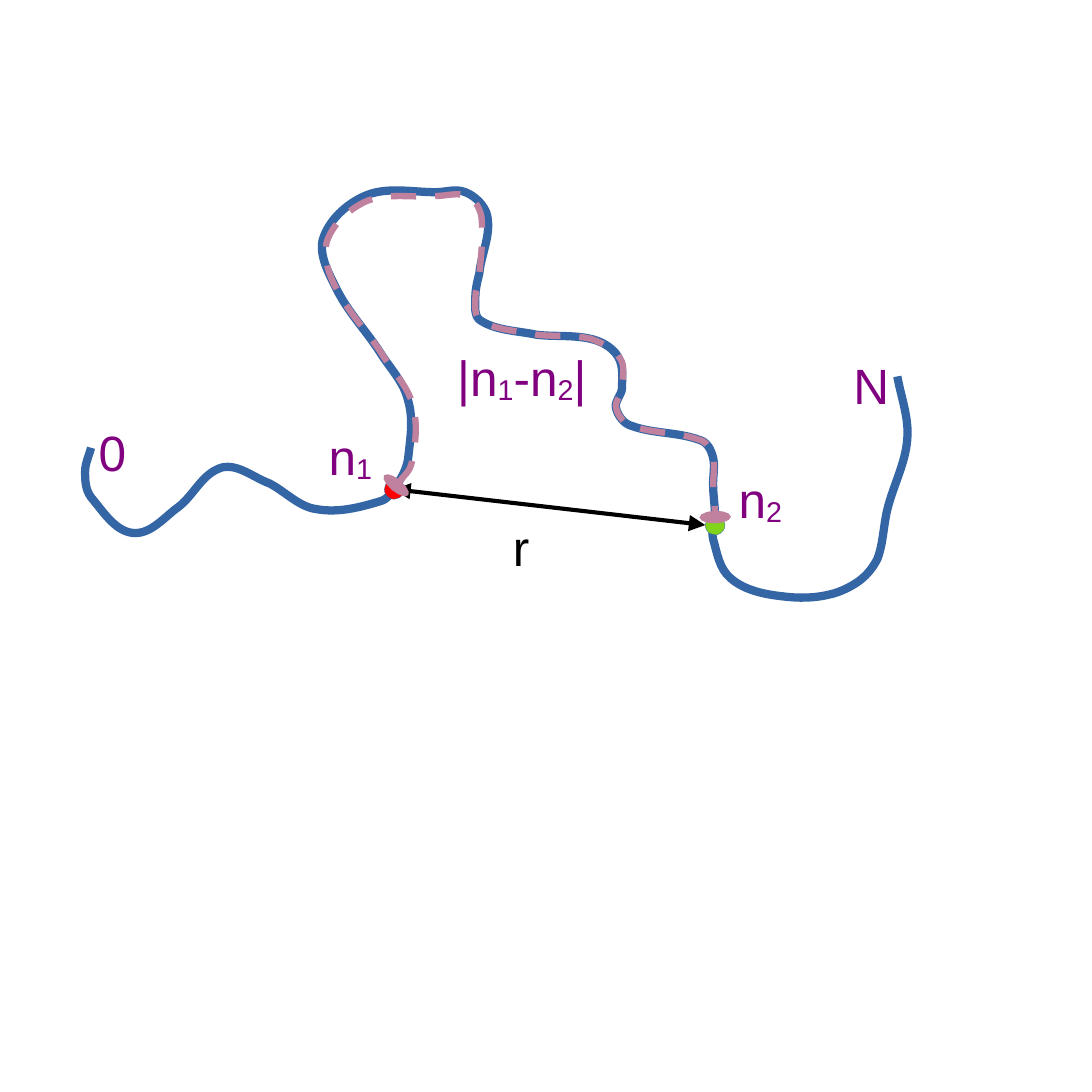
import math

import pptx
import pptx.dml.color
import pptx.enum.dml
import pptx.enum.shapes
import pptx.enum.text
import pptx.oxml
import pptx.oxml.ns
import pptx.util

COLORS = {"chain": "3465A4", "contour": "BF819E", "first": "FF0000",
          "second": "81D41A", "distance": "000000", "label": "800080"}
GRID = pptx.util.Cm(0.0254)  # every coordinate below counts this step
NAMESPACE = pptx.oxml.ns.nsdecls("a")

# The chain runs from 0 to n1, round the loop to n2, and on to N.
ZERO_TO_FIRST = [(46, 226), (43, 238), (46, 251), (67, 269), (90, 256),
                 (112, 236), (136, 244), (160, 257), (192, 253)]
LOOP = [(200, 245), (206, 232), (206, 202), (192, 178), (170, 146), (163, 121),
        (184, 99), (220, 97), (235, 97), (246, 109), (242, 138), (240, 150),
        (243, 162), (271, 169), (298, 171), (312, 180), (314, 196), (311, 206),
        (319, 215), (353, 222), (360, 231), (360, 244), (361, 261)]
SECOND_TO_N = [(360, 272), (369, 292), (395, 301), (419, 300), (434, 293),
               (443, 282), (448, 257), (458, 222), (453, 190)]
# The contour follows the loop, moved inwards at these bends.
INWARD = {(206, 232): (2, 1), (206, 202): (2, 1), (192, 178): (1, 1),
          (163, 121): (2, 1), (184, 99): (0, 3), (220, 97): (0, 2),
          (235, 97): (1, 2), (246, 109): (-3, 0), (312, 180): (1, 1)}

BEAD_SIZE = 10
FIRST_BEAD = (199, 247)
SECOND_BEAD = (361, 265)


def color(name):
    return pptx.dml.color.RGBColor.from_string(COLORS[name])


def shift(point, move):
    return point[0] + move[0], point[1] + move[1]


def style_line(line, name, width):
    line.color.rgb = color(name)
    line.width = pptx.util.Pt(width)


def add_line_ends(line, kind, width="med", length="med"):
    for tag in ("headEnd", "tailEnd"):
        line._get_or_add_ln().append(pptx.oxml.parse_xml(
            f'<a:{tag} {NAMESPACE} type="{kind}" w="{width}" len="{length}"/>'))


def smooth_controls(bends):
    """Give both control points and the end of each curve between two bends.

    At a bend the curve runs parallel to the line joining its neighbours;
    each handle is a third of the distance to the next bend.
    """
    directions = []
    for index in range(len(bends)):
        before = bends[max(index - 1, 0)]
        after = bends[min(index + 1, len(bends) - 1)]
        span = math.dist(before, after)
        directions.append(((after[0] - before[0]) / span, (after[1] - before[1]) / span))

    for index in range(len(bends) - 1):
        start, end = bends[index], bends[index + 1]
        handle = math.dist(start, end) / 3
        leaving = [handle * part for part in directions[index]]
        arriving = [-handle * part for part in directions[index + 1]]
        yield shift(start, leaving), shift(end, arriving), end


def add_curve(page, left, top, bends, name, width):
    """Draw one smooth open line through all bends."""
    controls = [point for curve in smooth_controls(bends) for point in curve]
    builder = page.shapes.build_freeform(*bends[0], scale=float(GRID))
    builder.add_line_segments(controls, close=False)
    outline = builder.convert_to_shape(left, top)
    outline.fill.background()
    outline.shadow.inherit = False
    style_line(outline.line, name, width)

    # Join every three straight steps into one cubic curve.
    steps = outline._element.findall(".//" + pptx.oxml.ns.qn("a:lnTo"))
    for first in range(0, len(steps), 3):
        bezier = pptx.oxml.parse_xml(f"<a:cubicBezTo {NAMESPACE}/>")
        steps[first].addprevious(bezier)
        for step in steps[first:first + 3]:
            bezier.append(step[0])
            step.getparent().remove(step)
    return outline


def add_bead(page, left, top, center, name):
    x, y = shift(center, (-BEAD_SIZE / 2, -BEAD_SIZE / 2))
    size = BEAD_SIZE * GRID
    bead = page.shapes.add_shape(pptx.enum.shapes.MSO_SHAPE.OVAL,
                                 left + int(x * GRID), top + int(y * GRID), size, size)
    bead.shadow.inherit = False
    bead.fill.solid()
    bead.fill.fore_color.rgb = color(name)
    style_line(bead.line, "chain", 0.1)


def add_distance(page, left, top):
    """Draw the arrow from the first bead to the rim of the second."""
    rim = shift(SECOND_BEAD, (-BEAD_SIZE // 2, 0))
    ends = [origin + step * GRID for point in (FIRST_BEAD, rim)
            for origin, step in zip((left, top), point)]
    arrow = page.shapes.add_connector(pptx.enum.shapes.MSO_CONNECTOR.STRAIGHT, *ends)
    style_line(arrow.line, "distance", 1.5)
    add_line_ends(arrow.line, "triangle")
    arrow._element.spPr.append(pptx.oxml.parse_xml(f"<a:effectLst {NAMESPACE}/>"))


def add_label(page, left, top, width, height, pieces, name):
    """Write a label whose digits 1 and 2 are lowered."""
    box = page.shapes.add_textbox(left, top, width, height)
    box.text_frame.word_wrap = True
    box.text_frame.auto_size = pptx.enum.text.MSO_AUTO_SIZE.SHAPE_TO_FIT_TEXT
    para = box.text_frame.paragraphs[0]
    for piece in pieces:
        span = para.add_run()
        span.text = piece
        if piece in ("1", "2"):
            span._r.get_or_add_rPr().set("baseline", "-8000")
    para.font.name = "Arial"
    para.font.size = pptx.util.Pt(18)
    para.font.color.rgb = color(name)


def add_chain_diagram(page, left, top):
    add_curve(page, left, top, ZERO_TO_FIRST + LOOP + SECOND_TO_N, "chain", 3)
    add_bead(page, left, top, FIRST_BEAD, "first")
    add_bead(page, left, top, SECOND_BEAD, "second")
    add_distance(page, left, top)

    inner_loop = [shift(bend, INWARD.get(bend, (0, 0))) for bend in LOOP]
    contour = add_curve(page, left, top, inner_loop, "contour", 2.3)
    contour.line.dash_style = pptx.enum.dml.MSO_LINE.DASH
    add_line_ends(contour.line, "oval", width="lg", length="sm")

    single, indexed, difference = (27, 38), (49, 47), (96, 122)
    for x, y, size, pieces, name in (
            (249, 256, single, ["r"], "distance"),
            (40, 208, single, ["0"], "label"),
            (421, 174, single, ["N"], "label"),
            (156, 210, indexed, ["n", "1"], "label"),
            (363, 232, indexed, ["n", "2"], "label"),
            (221, 170, difference, ["|n", "1", "-n", "2", "|"], "label")):
        width, height = (length * GRID for length in size)
        add_label(page, left + x * GRID, top + y * GRID, width, height, pieces, name)


def main():
    deck = pptx.Presentation()
    deck.slide_width = deck.slide_height = pptx.util.Cm(14)
    page = deck.slides.add_slide(deck.slide_layouts[6])
    add_chain_diagram(page, pptx.util.Cm(0), pptx.util.Cm(0))
    deck.save("out.pptx")


if __name__ == "__main__":
    main()
